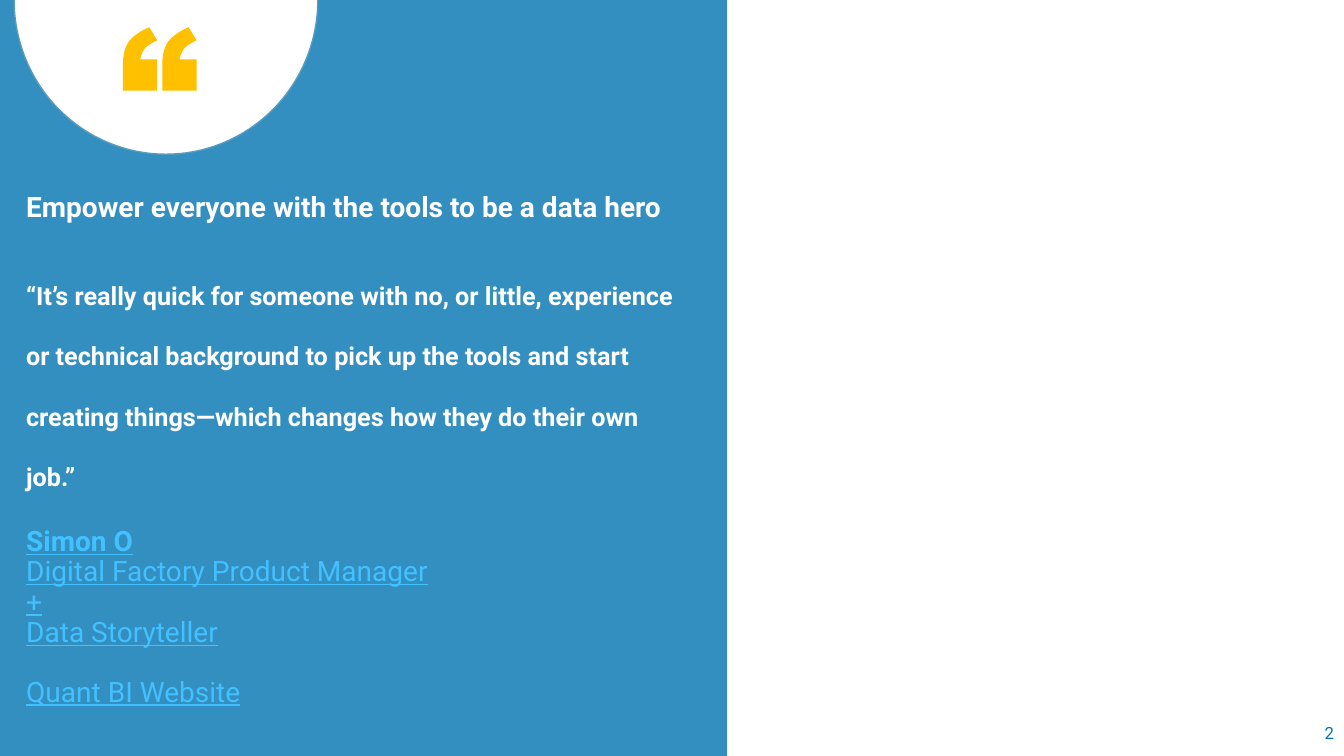
"""Build a quotation slide with a tinted panel on the left."""
import dataclasses

import lxml.etree
import pptx
import pptx.dml.color
import pptx.enum.shapes
import pptx.enum.text
import pptx.oxml.ns
import pptx.util

SHAPE = pptx.enum.shapes.MSO_SHAPE
ANCHOR = pptx.enum.text.MSO_ANCHOR
ALIGN = pptx.enum.text.PP_ALIGN
MARK_SIZE = (34, 63)
MARK_OUTLINE = [
    [(26, 0)], [(34, 13)], [(28, 16), (23, 19), (21, 22)],
    [(19, 25), (18, 28), (17, 32)], [(34, 32)], [(34, 63)], [(0, 63)],
    [(0, 37)], [(0, 27), (2, 20), (6, 14)], [(10, 9), (17, 4), (26, 0)],
]


@dataclasses.dataclass(frozen=True)
class Theme:
    """Colours, font and type sizes of the slide."""
    font: str = "Roboto"
    blue: str = "0074AF"
    rim: str = "579BBD"
    sky: str = "43C0FF"
    gold: str = "FFC000"
    white: str = "FFFFFF"
    lead: int = 20
    quote: int = 18
    small: int = 12


def rgb(value):
    """Turn a hex string into a colour."""
    return pptx.dml.color.RGBColor.from_string(value)


def write(para, text, *, font, size, color, bold=False, underline=False,
          spacing=1.0, before=0, align=ALIGN.LEFT):
    """Put formatted text into a paragraph."""
    para.alignment = align
    para.line_spacing = spacing
    para.space_before = pptx.util.Pt(before)
    span = para.add_run()
    span.text = text
    span.font.name = font
    span.font.size = pptx.util.Pt(size)
    span.font.color.rgb = rgb(color)
    span.font.bold = bold
    span.font.underline = underline


def flatten(outline, steps=8):
    """Turn straight and cubic segments into a list of points."""
    points = []
    for segment in outline:
        if len(segment) == 1:
            points += segment
            continue
        knots = [points[-1], *segment]
        for step in range(1, steps + 1):
            t = step / steps
            weights = ((1 - t) ** 3, 3 * t * (1 - t) ** 2,
                       3 * t * t * (1 - t), t ** 3)
            points.append(tuple(
                sum(weight * knot[axis] for weight, knot in zip(weights, knots))
                for axis in (0, 1)))
    return points


class Page:
    """Draw elements on one slide, with lengths in percent of its size."""

    def __init__(self, deck, theme):
        """Add a slide with title and body placeholders."""
        self.deck, self.theme = deck, theme
        self.slide = deck.slides.add_slide(deck.slide_layouts[1])
        self.shapes = self.slide.shapes

    def scale(self, *lengths):
        """Convert alternating horizontal and vertical percentages."""
        sides = (self.deck.slide_width, self.deck.slide_height)
        return [round(sides[i % 2] * length / 100)
                for i, length in enumerate(lengths)]

    def paint(self, shape, fill, opacity=100, line=None):
        """Set fill, opacity and outline of a shape."""
        shape.shadow.inherit = False
        shape.fill.solid()
        shape.fill.fore_color.rgb = rgb(fill)
        if opacity < 100:
            tint = shape.fill._xPr.find(".//" + pptx.oxml.ns.qn("a:srgbClr"))
            lxml.etree.SubElement(tint, pptx.oxml.ns.qn("a:alpha"),
                                  val=str(opacity * 1000))
        if line:
            shape.line.color.rgb = rgb(line)
            shape.line.width = pptx.util.Pt(1)
        else:
            shape.line.fill.background()

    def block(self, kind, area, fill, **style):
        """Add a painted preset shape."""
        self.paint(self.shapes.add_shape(kind, *self.scale(*area)), fill, **style)

    def marks(self, lefts, top, size, fill):
        """Add quotation marks as one outline."""
        points = flatten(MARK_OUTLINE)
        builder = None
        for left in lefts:
            contour = [
                self.scale(left + x / MARK_SIZE[0] * size[0],
                           top + y / MARK_SIZE[1] * size[1])
                for x, y in points]
            if builder is None:
                builder = self.shapes.build_freeform(*contour[0])
            else:
                builder.move_to(*contour[0])
            builder.add_line_segments(contour[1:], close=True)
        self.paint(builder.convert_to_shape(), fill)

    def fill_frame(self, box, lines, anchor, wrap=True, **style):
        """Write one paragraph per line, each with its own overrides."""
        frame = box.text_frame
        frame.auto_size = pptx.enum.text.MSO_AUTO_SIZE.NONE
        frame.word_wrap = wrap
        frame.vertical_anchor = anchor
        for i, (text, extra) in enumerate(lines):
            para = frame.add_paragraph() if i else frame.paragraphs[0]
            write(para, text, **{"font": self.theme.font, **style, **extra})

    def text(self, area, text, anchor=ANCHOR.TOP, **style):
        """Add a text box."""
        box = self.shapes.add_textbox(*self.scale(*area))
        self.fill_frame(box, [(text, {})], anchor, **style)

    def placeholder(self, index, area, lines, anchor=ANCHOR.TOP, **style):
        """Move a placeholder to the front and fill it without bullets."""
        box = self.slide.placeholders[index]
        self.shapes._spTree.append(box._element)
        box.left, box.top, box.width, box.height = self.scale(*area)
        self.fill_frame(box, lines, anchor, **style)
        for para in box.text_frame.paragraphs:
            properties = para._p.get_or_add_pPr()
            properties.set("marL", "0")
            properties.set("indent", "0")
            lxml.etree.SubElement(properties, pptx.oxml.ns.qn("a:buNone"))


def main():
    """Compose the slide and save it."""
    theme = Theme()
    deck = pptx.Presentation()
    deck.slide_width = pptx.util.Inches(13.33)
    deck.slide_height = pptx.util.Inches(7.5)
    page = Page(deck, theme)
    page.block(SHAPE.RECTANGLE, (0, 0, 54.1, 100), theme.blue, opacity=80)
    page.text((1.2, 32.4, 50.2, 36.8),
              "“It’s really quick for someone with no, or little, experience "
              "or technical background to pick up the tools and start creating "
              "things—which changes how they do their own job.”",
              size=theme.quote, color=theme.white, bold=True, spacing=2.0)
    page.placeholder(0, (1.2, 24.9, 53.2, 5.3),
                     [("Empower everyone with the tools to be a data hero", {})],
                     anchor=ANCHOR.MIDDLE, size=theme.lead, color=theme.white,
                     bold=True, spacing=0.9)
    page.placeholder(1, (1.2, 69.1, 49.7, 25.6),
                     [("Simon O", {"bold": True}),
                      ("Digital Factory Product Manager", {}),
                      ("+", {}),
                      ("Data Storyteller", {}),
                      ("Quant BI Website", {"before": 21})],
                     size=theme.lead, color=theme.sky, underline=True, spacing=0.9)
    page.text((96.47, 94.3, 3.53, 5.3), "2", anchor=ANCHOR.MIDDLE, wrap=False,
              size=theme.small, color=theme.blue, align=ALIGN.RIGHT)
    page.block(SHAPE.OVAL, (1.05, -20.4, 22.6, 40.8), theme.white, line=theme.rim)
    page.marks((9.15, 12.08), 3.6, (2.55, 8.4), theme.gold)
    deck.save("out.pptx")


main()
